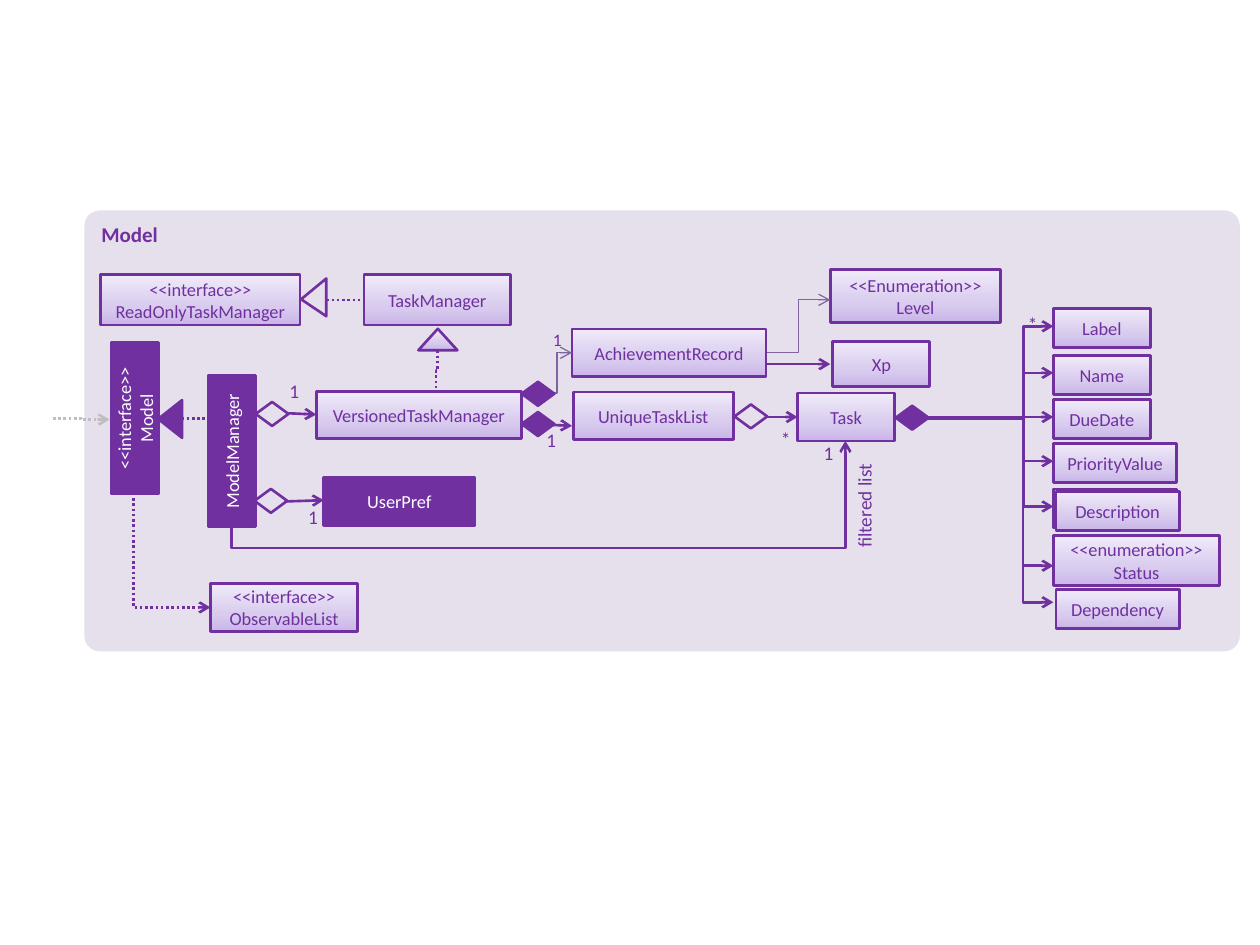
from lxml import etree
from pptx import Presentation
from pptx.dml.color import RGBColor
from pptx.enum.dml import MSO_LINE
from pptx.enum.shapes import MSO_CONNECTOR, MSO_SHAPE
from pptx.enum.text import MSO_ANCHOR, PP_ALIGN
from pptx.oxml import parse_xml
from pptx.oxml.ns import nsdecls, qn
from pptx.util import Inches, Pt

RECTANGLE = MSO_SHAPE.RECTANGLE
ROUNDED = MSO_SHAPE.ROUNDED_RECTANGLE
TRIANGLE = MSO_SHAPE.ISOSCELES_TRIANGLE
DIAMOND = MSO_SHAPE.FLOWCHART_DECISION
STRAIGHT = MSO_CONNECTOR.STRAIGHT
ELBOW = MSO_CONNECTOR.ELBOW
DOTTED = MSO_LINE.ROUND_DOT
LEFT, CENTER, RIGHT = PP_ALIGN.LEFT, PP_ALIGN.CENTER, PP_ALIGN.RIGHT
TOP, MIDDLE = MSO_ANCHOR.TOP, MSO_ANCHOR.MIDDLE

FONT = "Calibri"
COLORS = {
    "purple": "7030A0",
    "panel": "E6E0EC",
    "violet": "8064A2",
    "gray": "BFBFBF",
    "white": "FFFFFF",
}
GRADIENT = ((0, "C9B5E8"), (35, "D8CBEE"), (100, "F0EAF9"))


def rgb(name):
    return RGBColor.from_string(COLORS[name])


def write_text(shape, text, size, color="purple", alignment=CENTER, anchor=MIDDLE, bold=False):
    text_frame = shape.text_frame
    text_frame.text = text
    text_frame.vertical_anchor = anchor
    for paragraph in text_frame.paragraphs:
        paragraph.alignment = alignment
        for run in paragraph.runs:
            run.font.name = FONT
            run.font.size = Pt(size)
            run.font.bold = bold
            run.font.color.rgb = rgb(color)


def fill_shape(shape, fill):
    if fill is None:
        shape.fill.background()
    elif fill == "gradient":
        shape.fill.gradient()
        shape.fill.gradient_angle = 90
        stops = "".join(
            f'<a:gs pos="{position * 1000}"><a:srgbClr val="{color}"/></a:gs>'
            for position, color in GRADIENT
        )
        old_stops = shape._element.spPr.find(".//" + qn("a:gsLst"))
        new_stops = parse_xml(f'<a:gsLst {nsdecls("a")}>{stops}</a:gsLst>')
        old_stops.getparent().replace(old_stops, new_stops)
    else:
        shape.fill.solid()
        shape.fill.fore_color.rgb = rgb(fill)


def add_shape(slide, kind, box, fill, rotation=0, outlined=True):
    shape = slide.shapes.add_shape(kind, *map(Inches, box))
    shape.shadow.inherit = False
    shape.rotation = rotation
    fill_shape(shape, fill)
    if outlined:
        shape.line.color.rgb = rgb("purple")
        shape.line.width = Pt(1.5)
    else:
        shape.line.fill.background()
    return shape


def add_class(slide, text, box, fill="gradient", rotation=0):
    shape = add_shape(slide, RECTANGLE, box, fill, rotation)
    shape.text_frame.margin_top = shape.text_frame.margin_bottom = 0
    write_text(shape, text, 10.5, "purple" if fill == "gradient" else "white")


def add_diamond(slide, left, top, fill=None):
    add_shape(slide, DIAMOND, (left, top, 0.26, 0.19), fill)


def add_label(slide, text, box, size=11, alignment=CENTER, rotation=0, inset=0, wrap=True):
    label = slide.shapes.add_textbox(*map(Inches, box))
    label.rotation = rotation
    text_frame = label.text_frame
    text_frame.word_wrap = wrap
    text_frame.margin_left = text_frame.margin_right = Inches(inset)
    text_frame.margin_top = text_frame.margin_bottom = Inches(inset / 2)
    write_text(label, text, size, alignment=alignment, anchor=TOP)


def add_line(slide, start, end, kind=STRAIGHT, color="purple", width=1.5, dotted=False, arrow=True):
    connector = slide.shapes.add_connector(kind, *map(Inches, (*start, *end)))
    connector.line.color.rgb = rgb(color)
    connector.line.width = Pt(width)
    if dotted:
        connector.line.dash_style = DOTTED
    if arrow:
        etree.SubElement(connector.line._get_or_add_ln(), qn("a:tailEnd"), type="arrow")
    etree.SubElement(connector._element.spPr, qn("a:effectLst"))
    return connector


def add_elbow(slide, start, end, bend=0.5, **style):
    connector = add_line(slide, start, end, ELBOW, **style)
    guides = connector._element.spPr.find(qn("a:prstGeom")).get_or_add_avLst()
    etree.SubElement(guides, qn("a:gd"), name="adj1", fmla=f"val {round(bend * 100000)}")
    return connector


def turn_vertical(start, end):
    center_x, center_y = (start[0] + end[0]) / 2, (start[1] + end[1]) / 2
    half_x, half_y = (end[0] - start[0]) / 2, (end[1] - start[1]) / 2
    return (center_x - half_y, center_y + half_x), (center_x + half_y, center_y - half_x)


def add_vertical_elbow(slide, start, end, bend=0.5, **style):
    connector = add_elbow(slide, *turn_vertical(start, end), bend, **style)
    connector._element.spPr.find(qn("a:xfrm")).set("rot", str(90 * 60000))


def add_corner(slide, start, end, **style):
    connector = add_line(slide, *turn_vertical(start, end), ELBOW, **style)
    properties = connector._element.spPr
    properties.find(qn("a:xfrm")).set("rot", str(90 * 60000))
    properties.find(qn("a:prstGeom")).set("prst", "bentConnector2")


def add_panel(slide):
    panel = add_shape(slide, ROUNDED, (0.67, 1.67, 9.17, 3.5), "panel", outlined=False)
    panel.adjustments[0] = 0.035
    write_text(panel, "Model", 12, alignment=LEFT, anchor=TOP, bold=True)


def add_classes(slide):
    add_class(slide, "UserPref", (2.57, 3.79, 1.2, 0.38), "purple")
    add_class(slide, "ModelManager", (1.24, 3.39, 1.2, 0.38), "purple", 270)
    add_class(slide, "<<interface>>\nModel", (0.47, 3.13, 1.2, 0.38), "purple", 270)
    for text, box in (
        ("VersionedTaskManager", (2.51, 3.11, 1.63, 0.37)),
        ("UniqueTaskList", (4.55, 3.11, 1.27, 0.38)),
        ("Task", (6.33, 3.12, 0.77, 0.38)),
        ("<<interface>>\vReadOnlyTaskManager", (0.8, 2.18, 1.58, 0.4)),
        ("<<interface>>\vObservableList", (1.67, 4.63, 1.17, 0.38)),
        ("TaskManager", (2.89, 2.18, 1.16, 0.4)),
        ("AchievementRecord", (4.54, 2.61, 1.54, 0.38)),
        ("<<Enumeration>>\nLevel", (6.59, 2.14, 1.35, 0.42)),
        ("Xp", (6.61, 2.71, 0.77, 0.36)),
        ("<<enumeration>>\nStatus", (8.36, 4.25, 1.32, 0.4)),
    ):
        add_class(slide, text, box)


def add_task_parts(slide):
    add_shape(slide, RECTANGLE, (8.36, 3.88, 0.98, 0.31), "gradient")
    for text, left, top, width in (
        ("Label", 8.36, 2.45, 0.77),
        ("Name", 8.36, 2.82, 0.77),
        ("DueDate", 8.36, 3.17, 0.77),
        ("PriorityValue", 8.36, 3.52, 0.98),
        ("Description", 8.38, 3.9, 0.98),
        ("Dependency", 8.38, 4.68, 0.98),
    ):
        add_class(slide, text, (left, top, width, 0.31))
    for y, bend in ((2.59, 0.5), (2.96, 0.5), (3.31, -1.12), (3.66, 0.5), (4.02, 0.5)):
        add_elbow(slide, (7.89, 3.32), (8.36, y), bend)
    for start_y, y in ((3.33, 4.49), (3.61, 4.78)):
        add_corner(slide, (8.12, start_y), (8.36, y))


def add_relations(slide):
    add_vertical_elbow(slide, (1.84, 4.17), (6.71, 3.5), -0.27)
    add_elbow(slide, (0.42, 3.32), (0.87, 3.33), color="gray", dotted=True)
    add_line(slide, (1.44, 3.32), (1.68, 3.32), dotted=True, arrow=False)
    add_elbow(slide, (2.59, 2.38), (2.89, 2.38), dotted=True, arrow=False)
    add_vertical_elbow(slide, (3.47, 2.78), (3.46, 3.1), dotted=True, arrow=False)
    add_corner(slide, (1.06, 3.91), (1.67, 4.82), dotted=True)
    for start, end in (
        ((2.29, 3.28), (2.51, 3.29)),
        ((4.14, 3.36), (4.54, 3.38)),
        ((2.26, 3.98), (2.57, 3.97)),
    ):
        add_line(slide, start, end)
    add_elbow(slide, (6.09, 3.31), (6.33, 3.31))
    add_elbow(slide, (6.09, 2.89), (6.59, 2.89))
    add_elbow(slide, (4.4, 3.12), (4.54, 2.8), 0.15, color="violet", width=0.75)
    add_elbow(slide, (6.09, 2.8), (6.59, 2.38), color="violet", width=0.75)


def add_symbols(slide):
    add_shape(slide, TRIANGLE, (1.2, 3.23, 0.3, 0.19), "purple", 270)
    add_shape(slide, TRIANGLE, (3.32, 2.61, 0.31, 0.17), "gradient")
    triangle = add_shape(slide, TRIANGLE, (2.34, 2.26, 0.3, 0.2), "panel", 270)
    triangle.adjustments[0] = 0.45
    for left, top in ((2.02, 3.88), (2.03, 3.19), (5.83, 3.21)):
        add_diamond(slide, left, top)
    for left, top in ((4.14, 3.27), (7.11, 3.22), (4.14, 3.03)):
        add_diamond(slide, left, top, "purple")


def add_labels(slide):
    for text, left, top in (
        ("1", 4.27, 3.4), ("*", 6.13, 3.39), ("1", 2.23, 3.01),
        ("1", 2.38, 4.01), ("1", 6.47, 3.5), ("*", 8.09, 2.48),
    ):
        add_label(slide, text, (left, top, 0.21, 0.2))
    add_label(slide, "1", (4.29, 2.56, 0.27, 0.27), 10, LEFT, inset=0.1, wrap=False)
    add_label(slide, "filtered list", (6.38, 3.92, 0.96, 0.29), 11, RIGHT, 270, 0.1)


def main():
    presentation = Presentation()
    presentation.slide_width = Inches(10)
    presentation.slide_height = Inches(7.5)
    slide = presentation.slides.add_slide(presentation.slide_layouts[6])
    for add_part in (add_panel, add_classes, add_task_parts, add_relations, add_symbols, add_labels):
        add_part(slide)
    presentation.save("out.pptx")


if __name__ == "__main__":
    main()
